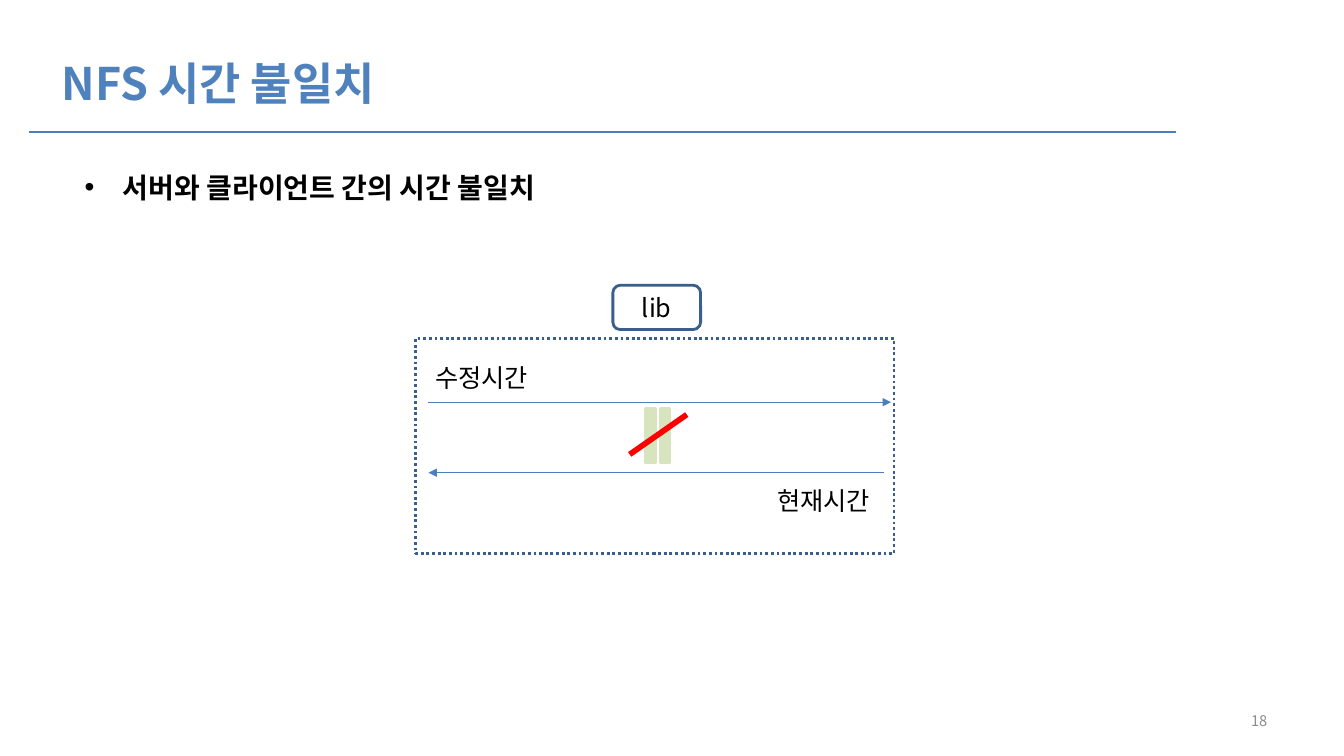
from pptx import Presentation
from pptx.dml.color import RGBColor
from pptx.enum.dml import MSO_LINE
from pptx.enum.shapes import MSO_CONNECTOR, MSO_SHAPE
from pptx.enum.text import MSO_ANCHOR, PP_ALIGN
from pptx.oxml.ns import qn
from pptx.util import Inches, Pt
from lxml.etree import SubElement

FONT = "Noto Sans CJK KR"
BLUE = RGBColor(0x4F, 0x81, 0xBD)
RULE = RGBColor(0x4B, 0x7E, 0xBC)
NAVY = RGBColor(0x3A, 0x5F, 0x8C)
GREEN = RGBColor(0xD7, 0xE4, 0xBD)
RED = RGBColor(0xFF, 0, 0)
GREY = RGBColor(0x8C, 0x8C, 0x8C)
BLACK = RGBColor(0, 0, 0)
WIDE, HIGH = Inches(13.333), Inches(7.5)


def place(x, y, *size):
    """Turn percent of the slide into lengths."""
    return [int(v * full / 100) for v, full in zip((x, y, *size), (WIDE, HIGH) * 2)]


def write(shape, text, size, color=BLACK, bold=False, align=PP_ALIGN.LEFT, anchor=MSO_ANCHOR.TOP):
    """Fill a shape with one styled paragraph."""
    frame = shape.text_frame
    frame.word_wrap = True
    frame.vertical_anchor = anchor
    para = frame.paragraphs[0]
    para.text = text
    para.alignment = align
    font = para.font
    font.size, font.bold, font.name = Pt(size), bold, FONT
    font.color.rgb = color
    style = para._p.pPr.find(qn("a:defRPr"))
    SubElement(style, qn("a:ea")).set("typeface", FONT)
    return para


def label(slide, box, text, size, **look):
    """Add a text box."""
    shape = slide.shapes.add_textbox(*place(*box))
    write(shape, text, size, **look)
    return shape


def line(slide, start, end, arrow=False):
    """Draw a thin line, with an arrowhead at its end if asked."""
    link = slide.shapes.add_connector(MSO_CONNECTOR.STRAIGHT, *place(*start), *place(*end))
    link.line.color.rgb = RULE
    link.line.width = Pt(0.75)
    if arrow:
        SubElement(link.line._get_or_add_ln(), qn("a:tailEnd")).set("type", "triangle")
    SubElement(link._element.spPr, qn("a:effectLst"))


def figure(slide, kind, box, fill=None, edge=None, turn=0):
    """Add a flat preset shape."""
    shape = slide.shapes.add_shape(kind, *place(*box))
    shape.shadow.inherit = False
    shape.rotation = turn
    if fill is None:
        shape.fill.background()
    else:
        shape.fill.solid()
        shape.fill.fore_color.rgb = fill
    if edge is None:
        shape.line.fill.background()
    else:
        shape.line.color.rgb = edge
        shape.line.width = Pt(2)
    return shape


def header(slide, x, y, w, h):
    """Place the title and the rule below it."""
    title = label(slide, (x, y, w, h), "NFS 시간 불일치", 32,
                  color=BLUE, bold=True, anchor=MSO_ANCHOR.MIDDLE)
    title.text_frame.margin_left = Inches(0.3)
    line(slide, (2.18, y + h + 0.8), (87.53, y + h + 0.8))


def body(slide, *box):
    """Place the bulleted statement."""
    shape = slide.shapes.add_textbox(*place(*box))
    para = shape.text_frame.paragraphs[0]
    props = para._p.get_or_add_pPr()
    props.set("marL", str(Inches(0.38)))
    props.set("indent", str(-Inches(0.38)))
    SubElement(props, qn("a:buFont")).set("typeface", "Arial")
    SubElement(props, qn("a:buChar")).set("char", "•")
    write(shape, "서버와 클라이언트 간의 시간 불일치", 20, bold=True)


def diagram(slide, x, y, w, h):
    """Draw the two unequal times inside the dotted frame."""
    lib = figure(slide, MSO_SHAPE.ROUNDED_RECTANGLE, (x + 14.7, y - 7.07, 6.53, 5.87), edge=NAVY)
    lib.text_frame.margin_top = lib.text_frame.margin_bottom = 0
    write(lib, "lib", 18, align=PP_ALIGN.CENTER, anchor=MSO_ANCHOR.MIDDLE)
    left = x + 0.98
    line(slide, (left, y + 8.4), (x + 35.4, y + 8.4), arrow=True)
    line(slide, (x + 34.88, y + 17.73), (left, y + 17.73), arrow=True)
    for text, dx, dy in (("수정시간", 0.75, 2.53), ("현재시간", 26.18, 18.8)):
        label(slide, (x + dx, y + dy, 12.38, 5.33), text, 18)
    figure(slide, MSO_SHAPE.MATH_EQUAL, (x + 15.3, y + 10.13, 5.48, 5.47), GREEN, GREEN, 90)
    figure(slide, MSO_SHAPE.MATH_MINUS, (x + 14.55, y + 11.07, 7.05, 3.2), RED, turn=145.1)
    frame = figure(slide, MSO_SHAPE.RECTANGLE, (x, y, w, h), edge=NAVY)
    frame.line.dash_style = MSO_LINE.ROUND_DOT


def footer(slide, *box):
    """Place the page number."""
    label(slide, box, "18", 10.5, color=GREY, align=PP_ALIGN.RIGHT, anchor=MSO_ANCHOR.MIDDLE)


def main():
    """Build the slide and save it."""
    deck = Presentation()
    deck.slide_width, deck.slide_height = WIDE, HIGH
    slide = deck.slides.add_slide(deck.slide_layouts[6])
    footer(slide, 71.7, 92.67, 23.33, 5.33)
    header(slide, 2.33, 5.33, 57.3, 11.33)
    body(slide, 5.55, 21.87, 83.25, 60.67)
    diagram(slide, 30.9, 44.8, 35.63, 28.4)
    deck.save("out.pptx")


if __name__ == "__main__":
    main()
